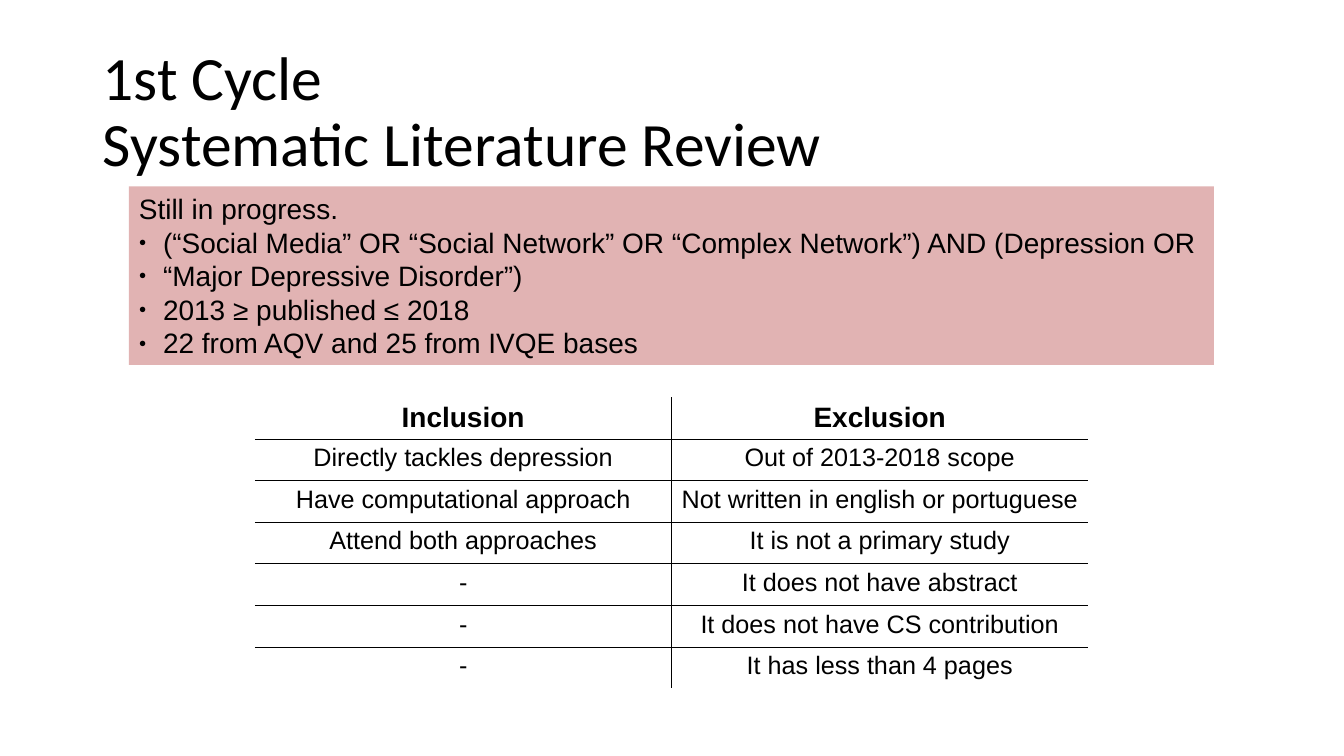
import dataclasses

import lxml.etree
import pptx
import pptx.dml.color
import pptx.enum.shapes
import pptx.enum.text
import pptx.oxml.ns
import pptx.util


@dataclasses.dataclass(frozen=True)
class Theme:
    ink: str = "000000"
    paper: str = "FFFFFF"
    panel: str = "E1B3B3"
    heading_font: str = "Calibri"
    body_font: str = "Arial"
    title_size: int = 44
    lead_size: int = 20
    cell_size: int = 18
    border: float = 0.06


theme = Theme()
qn = pptx.oxml.ns.qn
rgb = pptx.dml.color.RGBColor.from_string
inches = pptx.util.Inches
align = pptx.enum.text.PP_ALIGN


def format_text(paragraph, font, size, alignment, bold=False):
    paragraph.alignment = alignment
    for run in paragraph.runs:
        run.font.name = font
        run.font.size = pptx.util.Pt(size)
        run.font.bold = bold
        run.font.color.rgb = rgb(theme.ink)


def add_border(cell, side, color):
    """Draw one side (L, R, T or B); call in that order, before the cell's fill is set."""
    line = lxml.etree.SubElement(
        cell._tc.get_or_add_tcPr(), qn(f"a:ln{side}"), w=str(pptx.util.Pt(theme.border))
    )
    solid = lxml.etree.SubElement(line, qn("a:solidFill"))
    lxml.etree.SubElement(solid, qn("a:srgbClr"), val=color)


presentation = pptx.Presentation()
presentation.slide_width = inches(13.34)
presentation.slide_height = inches(7.5)
slide = presentation.slides.add_slide(presentation.slide_layouts[5])

# Title
title = slide.shapes.title
title.left, title.top = inches(0.92), inches(0.4)
title.width, title.height = inches(9.38), inches(1.45)
title.text_frame.text = "1st Cycle\nSystematic Literature Review"
title.text_frame.auto_size = pptx.enum.text.MSO_AUTO_SIZE.NONE
title.text_frame.vertical_anchor = pptx.enum.text.MSO_ANCHOR.MIDDLE
for paragraph in title.text_frame.paragraphs:
    paragraph.line_spacing = 0.9
    format_text(paragraph, theme.heading_font, theme.title_size, align.LEFT)

# Search protocol: a lead line followed by bullets
protocol = slide.shapes.add_shape(
    pptx.enum.shapes.MSO_SHAPE.RECTANGLE,
    inches(1.28), inches(1.85), inches(10.77), inches(1.77),
)
protocol.shadow.inherit = False
protocol.fill.solid()
protocol.fill.fore_color.rgb = rgb(theme.panel)
protocol.line.fill.background()
protocol.text_frame.word_wrap = True
protocol.text_frame.vertical_anchor = pptx.enum.text.MSO_ANCHOR.TOP
protocol.text_frame.text = "\n".join([
    "Still in progress.",
    "(“Social Media” OR “Social Network” OR “Complex Network”) AND (Depression OR",
    "“Major Depressive Disorder”)",
    "2013 ≥ published ≤ 2018",
    "22 from AQV and 25 from IVQE bases",
])
for index, paragraph in enumerate(protocol.text_frame.paragraphs):
    format_text(paragraph, theme.body_font, theme.lead_size, align.LEFT)
    if index > 0:
        properties = paragraph._p.get_or_add_pPr()
        properties.set("marL", str(inches(0.24)))
        properties.set("indent", str(-inches(0.24)))
        bullet_color = lxml.etree.SubElement(properties, qn("a:buClr"))
        lxml.etree.SubElement(bullet_color, qn("a:srgbClr"), val=theme.ink)
        lxml.etree.SubElement(properties, qn("a:buSzPct"), val="45000")
        lxml.etree.SubElement(properties, qn("a:buFont"), typeface=theme.body_font)
        lxml.etree.SubElement(properties, qn("a:buChar"), char="●")

# Selection criteria: only the inner borders are visible
criteria_rows = [
    ("Inclusion", "Exclusion"),
    ("Directly tackles depression", "Out of 2013-2018 scope"),
    ("Have computational approach", "Not written in english or portuguese"),
    ("Attend both approaches", "It is not a primary study"),
    ("-", "It does not have abstract"),
    ("-", "It does not have CS contribution"),
    ("-", "It has less than 4 pages"),
]
last_row, last_column = len(criteria_rows) - 1, len(criteria_rows[0]) - 1
criteria = slide.shapes.add_table(
    last_row + 1, last_column + 1, inches(2.53), inches(3.94), inches(8.27), inches(2.89)
).table
criteria.horz_banding = False
for row, entries in enumerate(criteria_rows):
    for column, entry in enumerate(entries):
        cell = criteria.cell(row, column)
        outer_sides = {
            "L": column == 0, "R": column == last_column,
            "T": row == 0, "B": row == last_row,
        }
        for side, is_outer in outer_sides.items():
            add_border(cell, side, theme.paper if is_outer else theme.ink)
        cell.fill.solid()
        cell.fill.fore_color.rgb = rgb(theme.paper)
        cell.text_frame.text = entry
        is_header = row == 0
        size = theme.lead_size if is_header else theme.cell_size
        format_text(
            cell.text_frame.paragraphs[0], theme.body_font, size, align.CENTER, is_header
        )

presentation.save("out.pptx")
